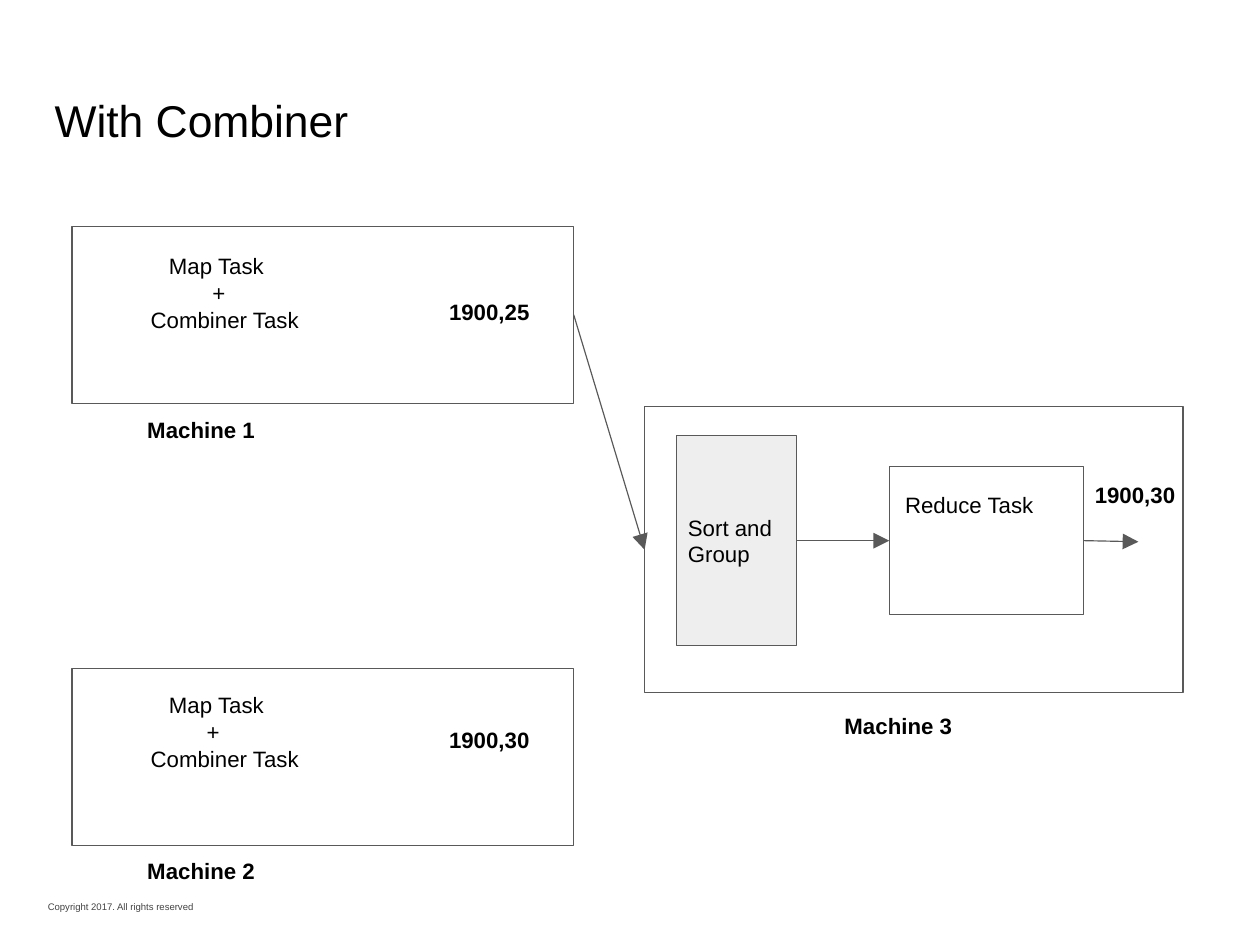
from pptx import Presentation, util as u
from pptx.dml.color import RGBColor
from pptx.enum import shapes as s, text as t
from pptx.oxml.ns import qn
from lxml import etree

PX = 9144  # 100 px to the inch
theme = {
    "font": "Arial", "ink": "000000", "grey": "434343",
    "line": "595959", "fill": "EEEEEE", "width": 0.75,
    "body": 14, "title": 28, "small": 6,
}

deck = Presentation()
deck.slide_width, deck.slide_height = u.Cm(28), u.Cm(21)
slide = deck.slides.add_slide(deck.slide_layouts[6])


def write(shape, lines, size="body", bold=False, ink="ink", mid=False):
    """Fill a shape with (text, indent) lines."""
    frame = shape.text_frame
    form = {"word_wrap": True,
            "vertical_anchor": t.MSO_ANCHOR.MIDDLE if mid else t.MSO_ANCHOR.TOP}
    form |= {f"margin_{side}": 10 * PX for side in ("left", "top", "right", "bottom")}
    for key, val in form.items():
        setattr(frame, key, val)
    for i, (line, dent) in enumerate(lines):
        para = frame.paragraphs[0] if i == 0 else frame.add_paragraph()
        para.text = line
        para.alignment = t.PP_ALIGN.LEFT
        if dent:
            para._p.get_or_add_pPr().set("marL", str(dent * PX))
        font = para.runs[0].font
        look = {"name": theme["font"], "size": u.Pt(theme[size]), "bold": bold}
        for key, val in look.items():
            setattr(font, key, val)
        font.color.rgb = RGBColor.from_string(theme[ink])


def stroke(item):
    item.line.color.rgb = RGBColor.from_string(theme["line"])
    item.line.width = u.Pt(theme["width"])


# Boxes
rects = {
    "map1": (63, 198, 439, 155),
    "map2": (63, 585, 439, 155),
    "host": (564, 356, 471, 250),
    "sort": (592, 381, 105, 184),
    "reduce": (778, 408, 170, 130),
}
box = {}
for name, spot in rects.items():
    rect = slide.shapes.add_shape(s.MSO_SHAPE.RECTANGLE, *(n * PX for n in spot))
    rect.shadow.inherit = False
    stroke(rect)
    if name == "sort":
        rect.fill.solid()
        rect.fill.fore_color.rgb = RGBColor.from_string(theme["fill"])
        write(rect, [("Sort and Group", 0)], mid=True)
    else:
        rect.fill.background()
    box[name] = rect

# Arrows, from the right side of one box to the left side of the next
for start, goal in (("map1", "host"), ("sort", "reduce"), ("reduce", None)):
    line = slide.shapes.add_connector(s.MSO_CONNECTOR.STRAIGHT, 948 * PX, 473 * PX, 996 * PX, 474 * PX)
    line.begin_connect(box[start], 3)
    if goal:
        line.end_connect(box[goal], 1)
    stroke(line)
    tip = etree.SubElement(line.get_or_add_ln(), qn("a:tailEnd"))
    for key, val in {"type": "triangle", "w": "lg", "len": "lg"}.items():
        tip.set(key, val)
    etree.SubElement(line._element.spPr, qn("a:effectLst"))

# Title, labels and footer
heavy = {"bold": True}
labels = [
    ((38, 71, 1027, 92), [("With Combiner", 0)], {"size": "title"}),
    ((32, 778, 270, 30), [("Copyright 2017. All rights reserved", 0)],
     {"size": "small", "ink": "grey", "mid": True}),
    ((782, 420, 154, 74), [("Reduce Task", 0)], {}),
    ((119, 354, 143, 74), [("Machine 1", 0)], heavy),
    ((119, 740, 143, 74), [("Machine 2", 0)], heavy),
    ((729, 613, 143, 74), [("Machine 3", 0)], heavy),
    ((383, 251, 105, 68), [("1900,25", 0)], heavy),
    ((383, 625, 105, 68), [("1900,30", 0)], heavy),
    ((948, 411, 117, 51), [("1900,30", 0)], heavy),
]
for top, plus in ((211, 70), (595, 65)):
    task = [("Map Task", 32), ("+", plus), ("Combiner Task", 16)]
    labels.append(((106, top, 187, 111), task, {}))
for spot, lines, look in labels:
    write(slide.shapes.add_textbox(*(n * PX for n in spot)), lines, **look)

deck.save("out.pptx")
